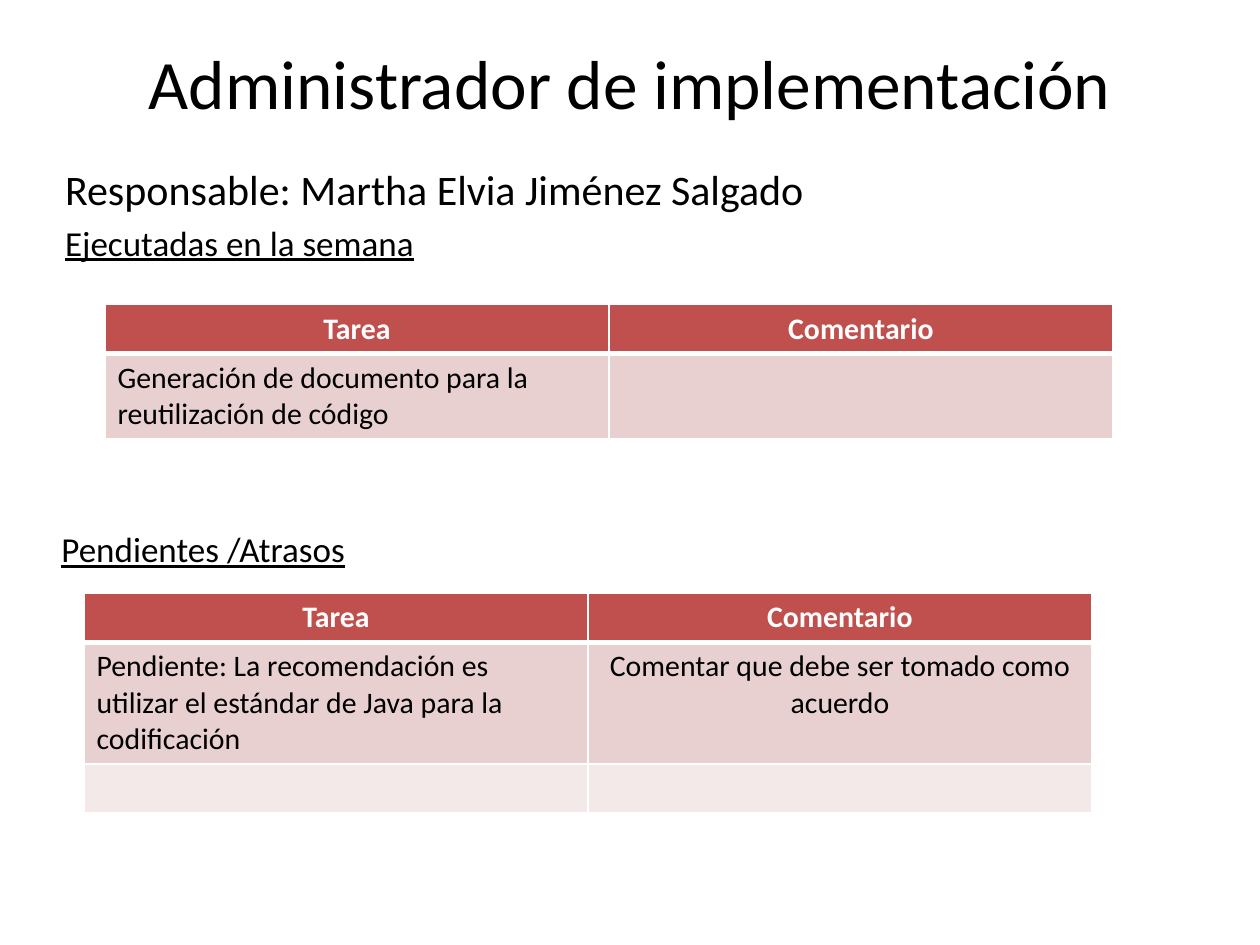
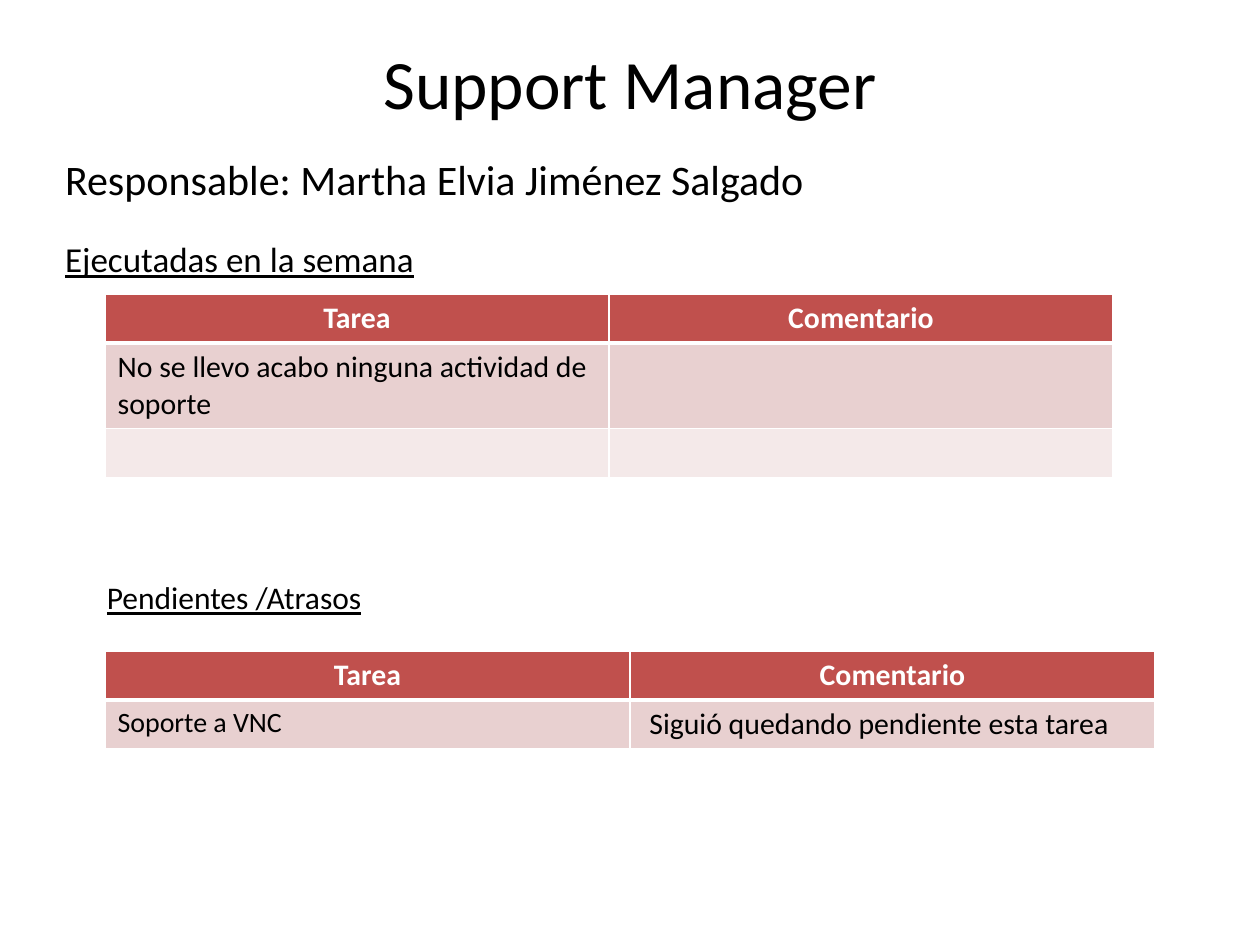
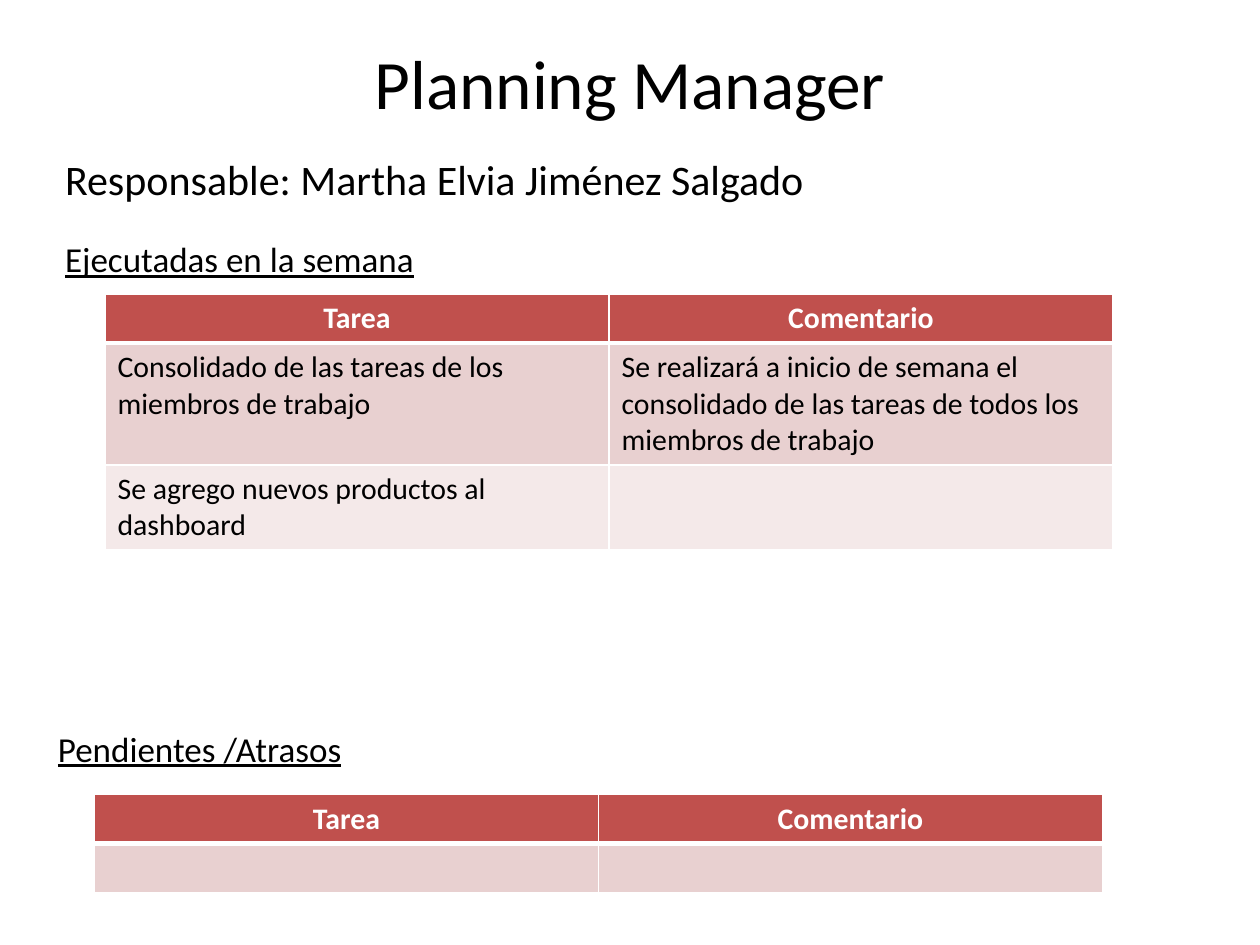
from dataclasses import dataclass

from lxml import etree
from pptx import Presentation
from pptx.dml.color import RGBColor
from pptx.enum.text import MSO_ANCHOR, MSO_AUTO_SIZE, PP_ALIGN
from pptx.oxml.ns import qn
from pptx.util import Pt

MIDDLE = MSO_ANCHOR.MIDDLE
NO_FIT = MSO_AUTO_SIZE.NONE
GROW = MSO_AUTO_SIZE.SHAPE_TO_FIT_TEXT
LEFT, CENTER = PP_ALIGN.LEFT, PP_ALIGN.CENTER


@dataclass(frozen=True)
class Theme:
    font: str = "Calibri"
    ink: str = "000000"
    paper: str = "FFFFFF"
    header: str = "C0504D"
    bands: tuple = ("E8D0D0", "F4E9E9")
    title: float = 39.6
    owner: float = 24
    section: float = 20
    small_section: float = 18
    cell: float = 17
    small_cell: float = 16
    row_height: float = 26.7
    rule: float = 1
    header_rule: float = 3


@dataclass(frozen=True)
class Entry:
    text: str = ""
    size: float = Theme.cell
    align: int = LEFT


class Report:
    def __init__(self, theme):
        self.theme = theme
        self.deck = Presentation()
        self.deck.slide_width, self.deck.slide_height = Pt(720), Pt(540)
        self.slide = None

    def place(self, shape, left, top, width, height):
        shape.left, shape.top = Pt(left), Pt(top)
        shape.width, shape.height = Pt(width), Pt(height)

    def style(self, paragraph, size, color=None, bold=False, underline=False):
        font = paragraph.font
        font.name, font.size = self.theme.font, Pt(size)
        font.bold, font.underline = bold, underline
        font.color.rgb = RGBColor.from_string(color or self.theme.ink)

    def new_slide(self, heading):
        self.slide = self.deck.slides.add_slide(self.deck.slide_layouts[1])
        title = self.slide.shapes.title
        self.place(title, 36, 21.6, 648, 50.4)
        frame = title.text_frame
        frame.text = heading
        frame.auto_size, frame.vertical_anchor = NO_FIT, MIDDLE
        frame.paragraphs[0].alignment = CENTER
        self.style(frame.paragraphs[0], self.theme.title)

    def intro(self, top, height, gap):
        body = self.slide.placeholders[1]
        self.place(body, 30, top, 672, height)
        frame = body.text_frame
        frame.text = "Responsable: Martha Elvia Jiménez Salgado\nEjecutadas en la semana"
        frame.auto_size = NO_FIT
        owner, done = frame.paragraphs
        self.style(owner, self.theme.owner)
        self.style(done, self.theme.section, underline=True)
        owner.space_before, done.space_before = Pt(4.8), Pt(gap)
        for paragraph in (owner, done):
            etree.SubElement(paragraph.font._element.getparent(), qn("a:buNone"))
            paragraph.font._element.addprevious(paragraph.font._element.getparent()[-1])

    def pending_label(self, left, top, width=672, height=42, size=Theme.section,
                      space=4, wrap=True):
        box = self.slide.shapes.add_textbox(Pt(left), Pt(top), Pt(width), Pt(height))
        frame = box.text_frame
        frame.word_wrap = wrap
        frame.auto_size = NO_FIT if wrap else GROW
        label = frame.paragraphs[0]
        label.text = "Pendientes /Atrasos"
        label.space_before = Pt(space)
        self.style(label, size, underline=True)

    def border(self, cell, bottom):
        properties = cell._tc.get_or_add_tcPr()
        for side in "LRTB":
            weight = bottom if side == "B" else self.theme.rule
            line = etree.SubElement(properties, qn(f"a:ln{side}"), w=str(Pt(weight)))
            fill = etree.SubElement(line, qn("a:solidFill"))
            etree.SubElement(fill, qn("a:srgbClr"), val=self.theme.paper)

    def cell(self, cell, entry, fill, color, bold=False, bottom=Theme.rule):
        self.border(cell, bottom)
        cell.fill.solid()
        cell.fill.fore_color.rgb = RGBColor.from_string(fill)
        paragraph = cell.text_frame.paragraphs[0]
        if entry.text:
            paragraph.text = entry.text
        paragraph.alignment = entry.align
        self.style(paragraph, entry.size, color, bold)

    def task_table(self, left, top, rows, width=576):
        theme = self.theme
        height = theme.row_height * (len(rows) + 1)
        table = self.slide.shapes.add_table(
            len(rows) + 1, 2, Pt(left), Pt(top), Pt(width), Pt(height)).table
        table.horz_banding = False
        for column, name in enumerate(("Tarea", "Comentario")):
            self.cell(table.cell(0, column), Entry(name, align=CENTER), theme.header,
                      theme.paper, bold=True, bottom=theme.header_rule)
        for number, row in enumerate(rows):
            for column, entry in enumerate(row):
                self.cell(table.cell(number + 1, column), entry,
                          theme.bands[number % 2], theme.ink)


theme = Theme()
report = Report(theme)
blank = Entry()

report.new_slide("Administrador de implementación")
report.intro(top=90, height=66, gap=4)
report.pending_label(28, 298)
report.task_table(60, 174, [
    (Entry("Generación de documento para la reutilización de código"), blank),
])
report.task_table(48, 339, [
    (Entry("Pendiente: La recomendación es utilizar el estándar de Java para la codificación"),
     Entry("Comentar que debe ser tomado como acuerdo", align=CENTER)),
    (blank, blank),
])

report.new_slide("Support Manager")
report.intro(top=84, height=90, gap=19.6)
report.task_table(60, 168, [
    (Entry("No se llevo acabo ninguna actividad de soporte"), blank),
    (blank, blank),
])
report.task_table(60, 372, [
    (Entry("Soporte a VNC", theme.small_cell),
     Entry(" Siguió quedando pendiente esta tarea")),
], width=600)
report.pending_label(54, 327, 161, 29, theme.small_section, space=0, wrap=False)

report.new_slide("Planning Manager")
report.intro(top=84, height=90, gap=19.6)
report.pending_label(26, 412)
report.task_table(60, 168, [
    (Entry("Consolidado de las tareas de los miembros de trabajo"),
     Entry("Se realizará a inicio de semana el consolidado de las tareas de todos los "
           "miembros de trabajo")),
    (Entry("Se agrego nuevos productos al dashboard"), blank),
])
report.task_table(54, 454, [(blank, blank)])

report.deck.save("out.pptx")
